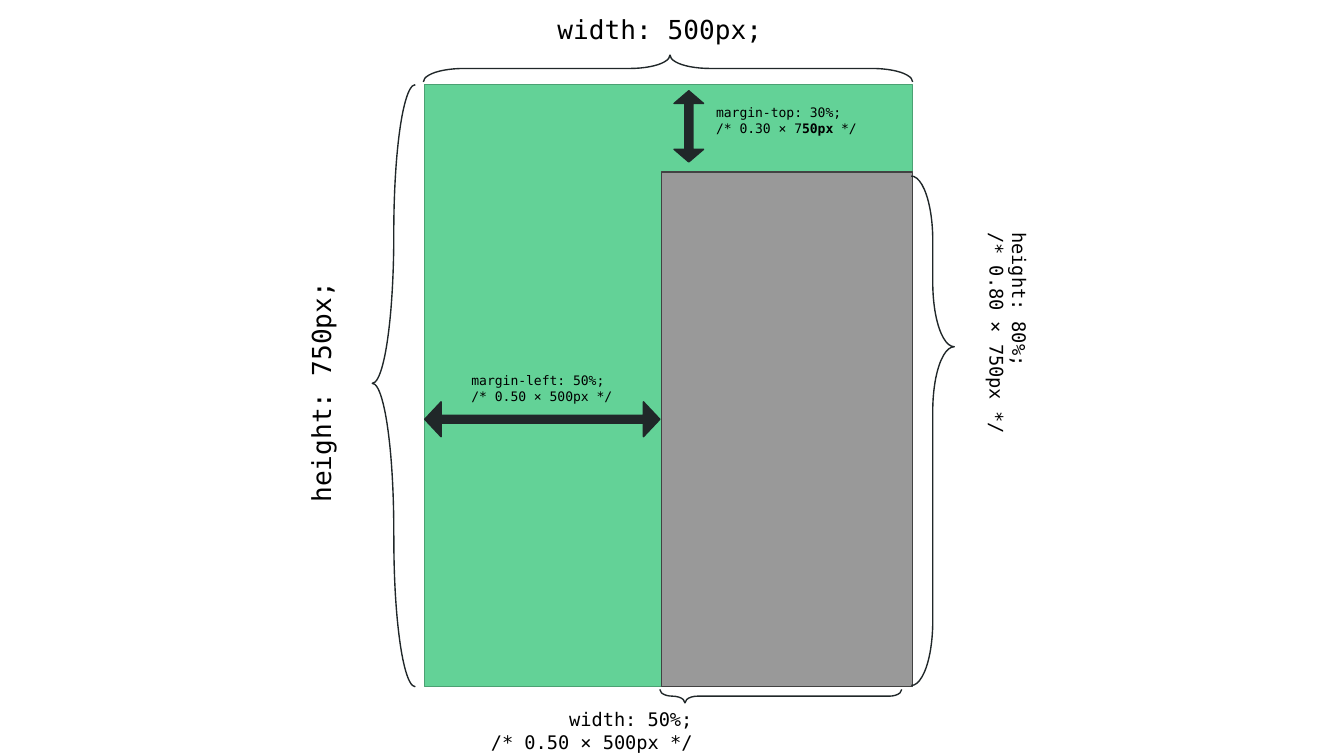
from pptx import Presentation
from pptx.dml.color import RGBColor
from pptx.enum.shapes import MSO_SHAPE as Shape
from pptx.enum.text import MSO_ANCHOR as Anchor, PP_ALIGN as Align
from pptx.util import Inches, Pt

GREEN = RGBColor(0x63, 0xD2, 0x97)
DARK_GREEN = RGBColor(0x4B, 0xA1, 0x73)
GRAY = RGBColor(0x99, 0x99, 0x99)
DARK_GRAY = RGBColor(0x42, 0x42, 0x42)
INK = RGBColor(0x20, 0x27, 0x29)
BLACK = RGBColor(0, 0, 0)
FONT = "DejaVu Sans Mono"

SLIDE_WIDTH = 10
SLIDE_HEIGHT = SLIDE_WIDTH * 9 / 16
PARENT_BOX = (3.16, 0.63, 3.63, 4.48)
CHILD_BOX = (4.92, 1.28, 1.87, 3.83)


def inside(box, left, top, width, height):
    """Turn a position relative to a box into a position on the slide."""
    return box[0] + left, box[1] + top, width, height


def add_outline(slide, kind, box, line, fill=None, rotation=0, adjustments=()):
    shape = slide.shapes.add_shape(kind, *map(Inches, box))
    shape.shadow.inherit = False
    shape.rotation = rotation
    for index, value in enumerate(adjustments):
        shape.adjustments[index] = value
    if fill is None:
        shape.fill.background()
    else:
        shape.fill.solid()
        shape.fill.fore_color.rgb = fill
    shape.line.color.rgb = line
    shape.line.width = Pt(0.75)


def add_label(slide, box, lines, size, align=Align.LEFT, rotation=0):
    """Each line is a list of (text, bold) runs."""
    shape = slide.shapes.add_textbox(*map(Inches, box))
    shape.rotation = rotation
    frame = shape.text_frame
    margins = dict.fromkeys(
        ("margin_left", "margin_top", "margin_right", "margin_bottom"), Inches(0.1))
    for name, value in {"word_wrap": True, "vertical_anchor": Anchor.TOP, **margins}.items():
        setattr(frame, name, value)
    for index, runs in enumerate(lines):
        paragraph = frame.add_paragraph() if index else frame.paragraphs[0]
        paragraph.alignment = align
        for text, bold in runs:
            run = paragraph.add_run()
            run.text = text
            for name, value in {"name": FONT, "size": Pt(size), "bold": bold}.items():
                setattr(run.font, name, value)
            run.font.color.rgb = BLACK


def plain(*lines):
    return [[(line, False)] for line in lines]


def draw_parent(slide, box):
    add_outline(slide, Shape.RECTANGLE, box, DARK_GREEN, GREEN)


def draw_child(slide, box):
    add_outline(slide, Shape.RECTANGLE, box, DARK_GRAY, GRAY)


def draw_parent_size(slide, box):
    # Width, above the box
    add_outline(slide, Shape.LEFT_BRACE, inside(box, 1.71, -1.94, 0.2, 3.64), INK,
                rotation=90, adjustments=(1.494, 0.496))
    add_label(slide, inside(box, 0.32, -0.63, 2.98, 0.32), plain("width: 500px; "),
              14, Align.CENTER)
    # Height, left of the box
    add_outline(slide, Shape.LEFT_BRACE, inside(box, -0.39, 0, 0.32, box[3]), INK,
                adjustments=(3.442, 0.496))
    add_label(slide, inside(box, -2.32, 2.07, 2.98, 0.32), plain("height: 750px; "),
              14, Align.CENTER, 270)


def draw_margins(slide, box):
    # Left margin
    add_outline(slide, Shape.LEFT_RIGHT_ARROW, inside(box, 0, 2.36, 1.75, 0.26), INK, INK,
                adjustments=(0.231, 0.471))
    add_label(slide, inside(box, 0.25, 2.04, 1.43, 0.42),
              plain("margin-left: 50%;", "/* 0.50 × 500px */"), 7)
    # Top margin
    add_outline(slide, Shape.LEFT_RIGHT_ARROW, inside(box, 1.7, 0.2, 0.53, 0.22), INK, INK,
                rotation=270, adjustments=(0.275, 0.428))
    add_label(slide, inside(box, 2.07, 0.05, 1.6, 0.67),
              plain("margin-top: 30%;")
              + [[("/* 0.30 × 7", False), ("50px", True), (" */", False)]], 7)


def draw_child_size(slide, box):
    # Width, below the box
    add_outline(slide, Shape.LEFT_BRACE, inside(box, 0.84, 3, 0.1, 1.8), INK,
                rotation=270, adjustments=(1.494, 0.104))
    add_label(slide, inside(box, -1.44, 3.89, 1.77, 0.25),
              plain("width: 50%;", "/* 0.50 × 500px */"), 10, Align.RIGHT)
    # Height, right of the box
    add_outline(slide, Shape.LEFT_BRACE, inside(box, 1.86, 0.03, 0.32, 3.79), INK,
                rotation=180, adjustments=(1.494, 0.665))
    add_label(slide, inside(box, 1.2, 1.68, 2.98, 0.32),
              plain("height: 80%;", "/* 0.80 × 750px */"), 10, rotation=90)


def main():
    presentation = Presentation()
    presentation.slide_width = Inches(SLIDE_WIDTH)
    presentation.slide_height = Inches(SLIDE_HEIGHT)
    slide = presentation.slides.add_slide(presentation.slide_layouts[6])
    draw_parent(slide, PARENT_BOX)
    draw_child(slide, CHILD_BOX)
    draw_parent_size(slide, PARENT_BOX)
    draw_margins(slide, PARENT_BOX)
    draw_child_size(slide, CHILD_BOX)
    presentation.save("out.pptx")


if __name__ == "__main__":
    main()
